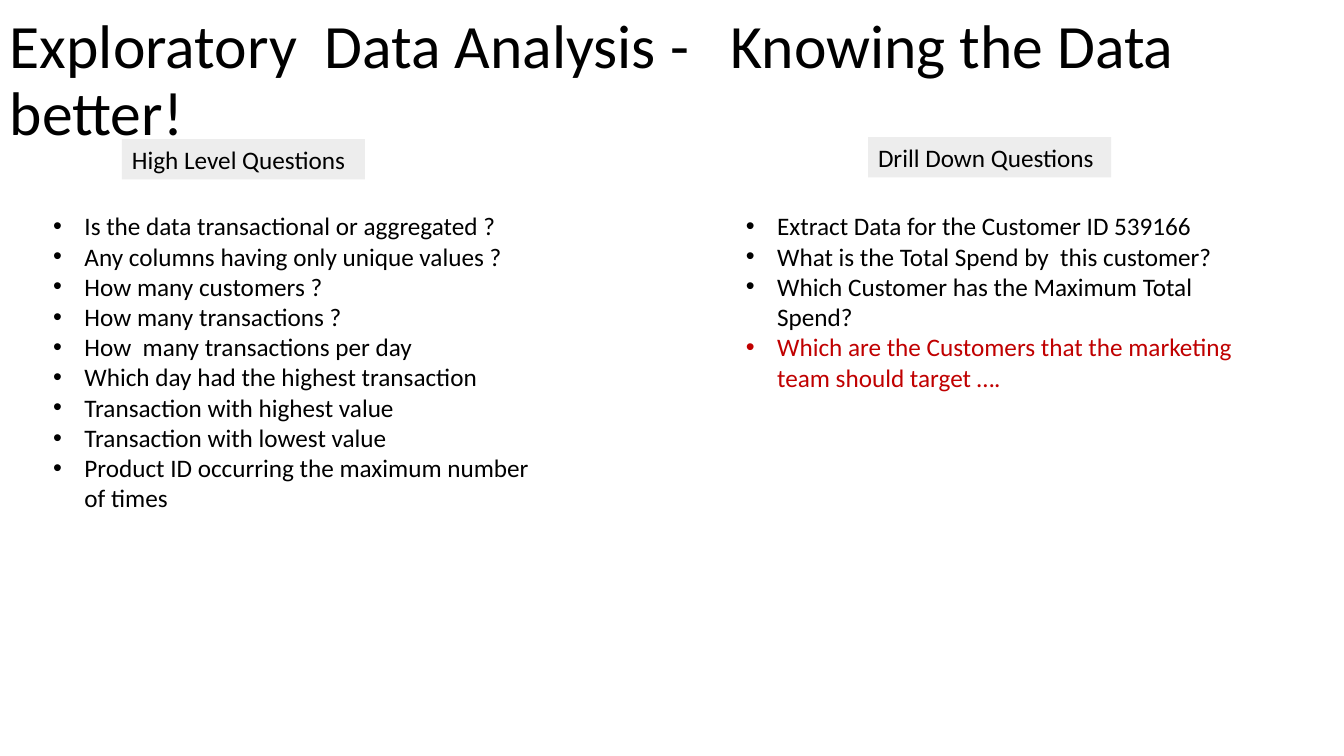
from dataclasses import dataclass

from lxml.etree import SubElement as Sub
from pptx import Presentation
from pptx.dml.color import RGBColor as Rgb
from pptx.enum.shapes import MSO_SHAPE as Kind
from pptx.enum.text import MSO_ANCHOR as Anchor, MSO_AUTO_SIZE as Fit, PP_ALIGN as Align
from pptx.oxml.ns import qn
from pptx.util import Inches, Pt


@dataclass(frozen=True)
class Theme:
    font: str = "Calibri"
    ink: str = "000000"
    alert: str = "C00000"
    band: str = "EDEDED"
    head: int = 44
    body: int = 18


THEME = Theme()
INDENT = Inches(0.31)

BROAD = [
    "Is the data transactional or aggregated ?",
    "Any columns having only unique values ?",
    "How many customers ?",
    "How many transactions ?",
    "How  many transactions per day ",
    "Which day had the highest transaction",
    "Transaction with highest value ",
    "Transaction with lowest value ",
    "Product ID occurring the maximum number of times ",
]
DRILL = [
    "Extract Data for the Customer ID 539166 ",
    "What is the Total Spend by  this customer?",
    "Which Customer has the Maximum Total Spend?",
]
TARGET = "Which are the Customers that the marketing team should target \u2026."


def add_run(para, text, size=THEME.body, color=THEME.ink):
    run = para.add_run()
    run.text = text
    run.font.name = THEME.font
    run.font.size = Pt(size)
    run.font.color.rgb = Rgb.from_string(color)


def add_box(slide, left, top, width, height):
    box = slide.shapes.add_textbox(*map(Inches, (left, top, width, height)))
    box.text_frame.word_wrap = True
    return box.text_frame


def add_title(slide, text):
    frame = add_box(slide, 0, 0.09, 13.57, 1.45)
    frame.vertical_anchor = Anchor.MIDDLE
    para = frame.paragraphs[0]
    para.line_spacing = 0.9
    add_run(para, text, THEME.head)


def add_label(slide, left, top, text):
    spot = map(Inches, (left, top, 2.41, 0.4))
    shape = slide.shapes.add_shape(Kind.RECTANGLE, *spot)
    shape.shadow.inherit = False
    shape.fill.solid()
    shape.fill.fore_color.rgb = Rgb.from_string(THEME.band)
    shape.line.fill.background()
    frame = shape.text_frame
    frame.word_wrap = True
    frame.auto_size = Fit.SHAPE_TO_FIT_TEXT
    frame.vertical_anchor = Anchor.TOP
    para = frame.paragraphs[0]
    para.alignment = Align.LEFT
    add_run(para, text)


def add_mark(para):
    props = para._p.get_or_add_pPr()
    props.set("marL", str(INDENT))
    props.set("indent", str(-INDENT))
    Sub(props, qn("a:buFont"), typeface="Arial")
    Sub(props, qn("a:buChar"), char="\u2022")


def add_list(slide, left, height, items):
    frame = add_box(slide, left, 2.04, 5.04, height)
    frame.auto_size = Fit.SHAPE_TO_FIT_TEXT
    for index, (text, color) in enumerate(items):
        para = frame.add_paragraph() if index else frame.paragraphs[0]
        add_mark(para)
        add_run(para, text, color=color)


def main():
    deck = Presentation()
    deck.slide_width = Inches(13.33)
    deck.slide_height = Inches(7.5)
    slide = deck.slides.add_slide(deck.slide_layouts[6])

    add_title(slide, "Exploratory  Data Analysis -   Knowing the Data better!")
    add_list(slide, 0.43, 3.13, [(text, THEME.ink) for text in BROAD])
    add_label(slide, 1.21, 1.38, "High Level Questions ")
    add_label(slide, 8.61, 1.36, "Drill Down Questions ")
    drill = [(text, THEME.ink) for text in DRILL]
    add_list(slide, 7.3, 1.92, drill + [(TARGET, THEME.alert)])

    deck.save("out.pptx")


main()
